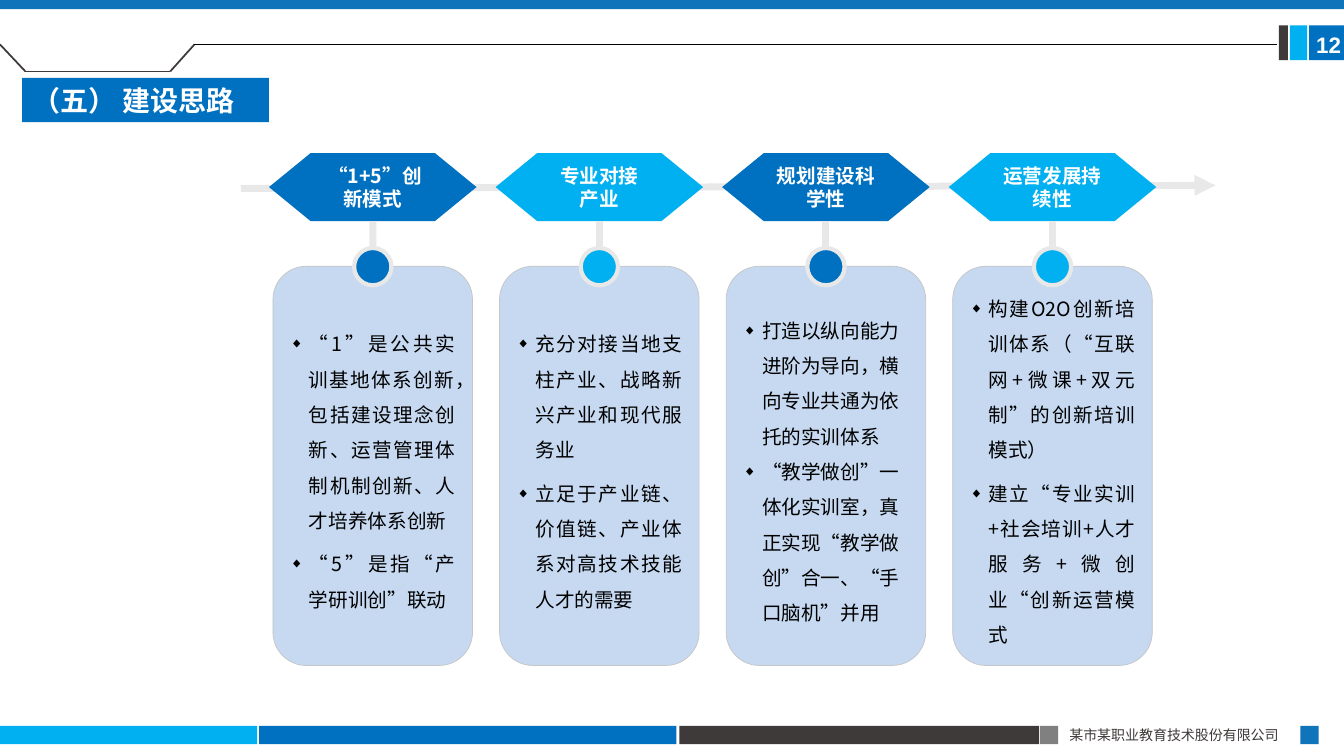
import pptx
import pptx.util
import pptx.dml.color
import pptx.enum.lang
import pptx.enum.shapes
import pptx.enum.text
import pptx.oxml.ns
from dataclasses import dataclass
from lxml import etree
from pptx.util import Cm

TITLE = "（五） 建设思路"
PAGE_NUMBER = "12"
COMPANY = "某市某职业教育技术股份有限公司"

COLUMNS = [
    dict(heading=[" “1+5”创新模式"], justified=True, points=[
        "“1”是公共实训基地体系创新，包括建设理念创新、运营管理体制机制创新、人才培养体系创新",
        "“5”是指“产学研训创”联动"]),
    dict(heading=["专业对接", "产业"], justified=True, points=[
        "充分对接当地支柱产业、战略新兴产业和现代服务业",
        "立足于产业链、价值链、产业体系对高技术技能人才的需要"]),
    dict(heading=["规划建设科学性"], justified=False, points=[
        "打造以纵向能力进阶为导向，横向专业共通为依托的实训体系",
        "“教学做创”一体化实训室，真正实现“教学做创”合一、“手口脑机”并用"]),
    dict(heading=["运营发展持续性"], justified=True, points=[
        "构建O2O创新培训体系（“互联网+微课+双元制”的创新培训模式）",
        "建立“专业实训+社会培训+人才服务+微创业“创新运营模式"]),
]


@dataclass(frozen=True)
class Theme:
    blue: str = "0070C0"
    sky: str = "00B0F0"
    band: str = "1074BB"
    dark: str = "3E3A39"
    grey: str = "808080"
    pale: str = "E8E8E8"
    panel: str = "C6D9F1"
    panel_edge: str = "C5C5C5"
    white: str = "FFFFFF"
    black: str = "000000"
    cjk: str = "Noto Sans CJK SC"
    latin: str = "Arial"
    title_size: int = 20
    page_size: int = 16
    body_size: int = 14
    footer_size: int = 10


T = Theme()
SHAPE = pptx.enum.shapes.MSO_SHAPE
ALIGN = pptx.enum.text.PP_ALIGN
MIDDLE = pptx.enum.text.MSO_ANCHOR.MIDDLE
TOP = pptx.enum.text.MSO_ANCHOR.TOP

# left, top, width, height in centimetres, then colour
FOOTER_TOP, FOOTER_HEIGHT = 18.29, 0.46
FOOTER_BARS = [(0, 6.48, T.sky), (6.53, 10.52, T.blue), (17.12, 9.07, T.dark),
               (26.21, 0.46, T.grey), (32.77, 0.46, T.band)]
HEADER_BARS = [(0, 0, 33.87, 0.23, T.band), (32.99, 0.64, 0.88, 0.88, T.blue),
               (32.51, 0.64, 0.43, 0.88, T.sky), (32.23, 0.64, 0.23, 0.88, T.dark)]
NOTCH = [(0, 1.12), (0.64, 1.8), (4.29, 1.8), (4.9, 1.12)]
RULE_END = (32.18, 1.12)

FIRST_LEFT, PITCH = 6.78, 5.71
HEX_TOP, HEX_W, HEX_H = 3.86, 5.23, 1.71
PANEL_TOP, PANEL_W, PANEL_H = 6.71, 5.03, 10.06
DOT_TOP, DOT_SIZE = 6.25, 0.94


def rgb(value):
    return pptx.dml.color.RGBColor.from_string(value)


def add_xml(parent, tag, **attributes):
    return etree.SubElement(parent, pptx.oxml.ns.qn(tag), **attributes)


def write(sp, lines, size=T.body_size, color=T.black, font=T.cjk, bold=False,
          align=ALIGN.LEFT, anchor=MIDDLE, margins=(0.25, 0.13), wrap=True,
          bullet=None, spacing=None, after=None):
    tf = sp.text_frame
    tf.word_wrap = wrap
    tf.vertical_anchor = anchor
    tf.margin_left = tf.margin_right = Cm(margins[0])
    tf.margin_top = tf.margin_bottom = Cm(margins[1])
    for i, line in enumerate(lines):
        p = tf.paragraphs[0] if i == 0 else tf.add_paragraph()
        p.alignment = align
        if spacing:
            p.line_spacing = spacing
        if after:
            p.space_after = pptx.util.Pt(after)
        if bullet:
            pPr = p._p.get_or_add_pPr()
            indent = Cm(0.48)
            pPr.set("marL", str(indent))
            pPr.set("indent", str(-indent))
            add_xml(pPr, "a:buSzPct", val="70000")
            add_xml(pPr, "a:buFont", typeface=T.latin)
            add_xml(pPr, "a:buChar", char=bullet)
        r = p.add_run()
        r.text = line
        f = r.font
        f.size, f.bold, f.name = pptx.util.Pt(size), bold, font
        f.color.rgb = rgb(color)
        f.language_id = pptx.enum.lang.MSO_LANGUAGE_ID.SIMPLIFIED_CHINESE
        add_xml(r._r.get_or_add_rPr(), "a:ea", typeface=font)


def add_box(s, kind, left, top, width, height, fill, line=None, weight=0):
    sp = s.shapes.add_shape(kind, Cm(left), Cm(top), Cm(width), Cm(height))
    sp.shadow.inherit = False
    sp.fill.solid()
    sp.fill.fore_color.rgb = rgb(fill)
    if line:
        sp.line.color.rgb = rgb(line)
        sp.line.width = pptx.util.Pt(weight)
    else:
        sp.line.fill.background()
    return sp


def add_line(s, start, end, color, weight, arrow=False):
    c = s.shapes.add_connector(pptx.enum.shapes.MSO_CONNECTOR.STRAIGHT,
                               *(Cm(v) for v in (*start, *end)))
    c.line.color.rgb = rgb(color)
    c.line.width = pptx.util.Pt(weight)
    if arrow:
        add_xml(c.line._get_or_add_ln(), "a:tailEnd", type="triangle")
    add_xml(c._element.spPr, "a:effectLst")
    return c


def add_text(s, left, top, width, height, line, **fmt):
    sp = s.shapes.add_textbox(Cm(left), Cm(top), Cm(width), Cm(height))
    write(sp, [line], anchor=TOP, wrap=False, **fmt)


def add_frame(s):
    """Draw the header, the footer and the title."""
    for left, width, color in FOOTER_BARS:
        add_box(s, SHAPE.RECTANGLE, left, FOOTER_TOP, width, FOOTER_HEIGHT, color)
    for *place, color in HEADER_BARS:
        add_box(s, SHAPE.RECTANGLE, *place, color)
    for start, end in zip(NOTCH, NOTCH[1:]):
        add_line(s, start, end, T.dark, 1.25)
    add_line(s, NOTCH[-1], RULE_END, T.black, 0.5)
    add_text(s, 26.7, 18.19, 6.1, 0.69, COMPANY, size=T.footer_size, color=T.dark)
    add_text(s, 32.92, 0.66, 1.27, 0.94, PAGE_NUMBER, size=T.page_size,
             color=T.white, font=T.latin, bold=True)
    title = s.shapes.title
    title.left, title.top, title.width, title.height = Cm(0.56), Cm(1.96), Cm(6.22), Cm(1.12)
    title.fill.solid()
    title.fill.fore_color.rgb = rgb(T.blue)
    write(title, [TITLE], size=T.title_size, color=T.white, bold=True)


def add_column(s, index, column):
    color = (T.blue, T.sky)[index % 2]
    left = FIRST_LEFT + index * PITCH
    center = left + HEX_W / 2
    hexagon = add_box(s, SHAPE.FLOWCHART_PREPARATION, left, HEX_TOP, HEX_W, HEX_H, color)
    write(hexagon, column["heading"], color=T.white, bold=True, align=ALIGN.CENTER)
    panel = add_box(s, SHAPE.ROUNDED_RECTANGLE, center - PANEL_W / 2, PANEL_TOP,
                    PANEL_W, PANEL_H, T.panel, T.panel_edge, 0.5)
    justified = column["justified"]
    write(panel, column["points"], bullet="◆", spacing=1.5, margins=(0.18, 0.1),
          align=ALIGN.JUSTIFY if justified else ALIGN.LEFT, after=6 if justified else None)
    dot = add_box(s, SHAPE.OVAL, center - DOT_SIZE / 2, DOT_TOP, DOT_SIZE, DOT_SIZE,
                  color, T.pale, 3)
    stem = add_line(s, (center, HEX_TOP + HEX_H), (center, DOT_TOP), T.pale, 5)
    stem.begin_connect(hexagon, 2)
    stem.end_connect(dot, 0)


def main():
    prs = pptx.Presentation()
    prs.slide_width, prs.slide_height = Cm(33.87), Cm(19.05)
    s = prs.slides.add_slide(prs.slide_layouts[5])
    add_frame(s)
    add_line(s, (6.07, 4.75), (30.63, 4.67), T.pale, 5, arrow=True)
    for index, column in enumerate(COLUMNS):
        add_column(s, index, column)
    prs.save("out.pptx")


if __name__ == "__main__":
    main()
